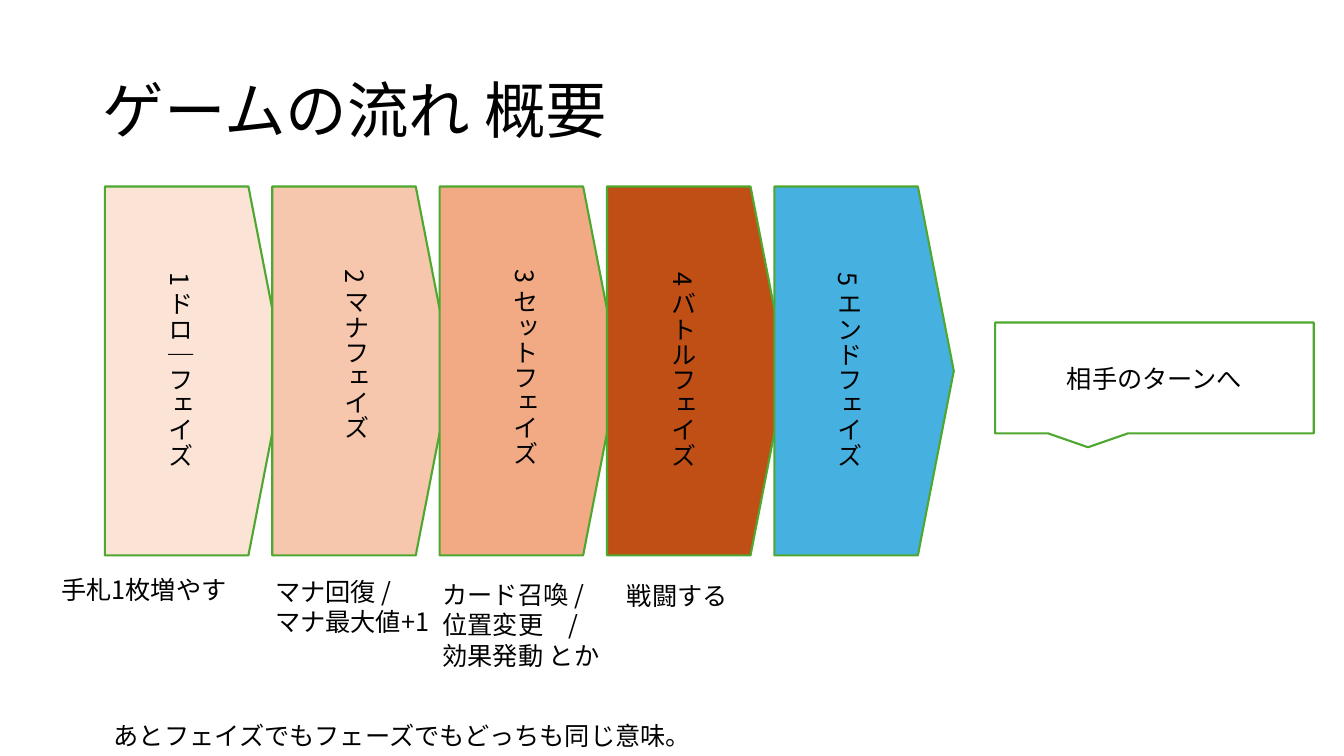
from dataclasses import dataclass

from lxml.etree import SubElement
from pptx import Presentation
from pptx.dml.color import RGBColor
from pptx.enum.shapes import MSO_SHAPE as SHAPE
from pptx.enum.text import MSO_ANCHOR as ANCHOR, MSO_AUTO_SIZE as AUTO, PP_ALIGN as ALIGN
from pptx.oxml.ns import qn
from pptx.util import Inches, Pt


@dataclass(frozen=True)
class Theme:
    font: str = "Noto Sans CJK JP"
    text: str = "000000"
    paper: str = "FFFFFF"
    outline: str = "4EA72E"
    title_size: int = 44
    body_size: int = 18
    line_width: float = 1.5


THEME = Theme()

# label, fill, label left, label top
PHASES = [
    ("1 ドロ｜フェイズ", "FBE3D6", 1.46, 2.6),
    ("2 マナフェイズ", "F6C6AD", 3.2, 2.58),
    ("3 セットフェイズ", "F2AA84", 4.88, 2.58),
    ("4 バトルフェイズ", "C04F15", 6.45, 2.6),
    ("5 エンドフェイズ", "46B1E1", 8.09, 2.6),
]

# box, lines, wraps
NOTES = [
    ((0.51, 5.65, 1.86, 0.4), ["手札1枚増やす"], True),
    ((2.63, 5.67, 1.79, 0.71), ["マナ回復 /", "マナ最大値+1"], False),
    ((4.29, 5.7, 1.79, 1.01), ["カード召喚 /", "位置変更　/", "効果発動 とか"], False),
    ((6.12, 5.71, 1.21, 0.4), ["戦闘する"], False),
    ((1.03, 7.1, 6.01, 0.4), ["あとフェイズでもフェーズでもどっちも同じ意味。"], False),
]


def write(tf, lines, size=THEME.body_size, align=ALIGN.LEFT, spacing=1.0, **frame):
    """Fill a text frame, one paragraph a line; frame holds its own settings."""
    for name, value in frame.items():
        setattr(tf, name, value)
    for i, line in enumerate(lines):
        p = tf.paragraphs[0] if i == 0 else tf.add_paragraph()
        p.alignment, p.line_spacing = align, spacing
        r = p.add_run()
        r.text = line
        for name, value in {"name": THEME.font, "size": Pt(size)}.items():
            setattr(r.font, name, value)
        r.font.color.rgb = RGBColor.from_string(THEME.text)
        SubElement(r.font._element, qn("a:ea"), typeface=THEME.font)


def add_text(slide, box, lines, **style):
    tf = slide.shapes.add_textbox(*map(Inches, box)).text_frame
    write(tf, lines, **style)
    return tf


def add_outlined(slide, kind, box, fill):
    sp = slide.shapes.add_shape(kind, *map(Inches, box))
    sp.shadow.inherit = False
    sp.fill.solid()
    sp.fill.fore_color.rgb = RGBColor.from_string(fill)
    sp.line.color.rgb = RGBColor.from_string(THEME.outline)
    sp.line.width = Pt(THEME.line_width)
    return sp


def add_phases(slide, box, pitch):
    """Overlapping chevrons from the box of the first, each a page connector on its side."""
    left, top, width, height = box
    for i, (label, fill, label_left, label_top) in enumerate(PHASES):
        x = left + i * pitch + (width - height) / 2
        y = top + (height - width) / 2
        sp = add_outlined(slide, SHAPE.FLOWCHART_OFFPAGE_CONNECTOR, (x, y, height, width), fill)
        sp.rotation = 270
        tf = add_text(slide, (label_left, label_top, 0.53, 3.08), [label],
                      word_wrap=True, auto_size=AUTO.SHAPE_TO_FIT_TEXT)
        tf._txBody.bodyPr.set("vert", "eaVert")


def add_callout(slide, box):
    sp = add_outlined(slide, SHAPE.RECTANGULAR_CALLOUT, box, THEME.paper)
    write(sp.text_frame, ["相手のターンへ"], align=ALIGN.CENTER,
          word_wrap=True, vertical_anchor=ANCHOR.MIDDLE)


def add_notes(slide):
    for box, lines, wraps in NOTES:
        add_text(slide, box, lines, word_wrap=wraps, auto_size=AUTO.SHAPE_TO_FIT_TEXT)


def main():
    prs = Presentation()
    prs.slide_width, prs.slide_height = Inches(13.33), Inches(7.5)
    slide = prs.slides.add_slide(prs.slide_layouts[6])
    add_text(slide, (0.92, 0.4, 11.5, 1.45), ["ゲームの流れ 概要"], size=THEME.title_size,
             spacing=0.9, word_wrap=True, vertical_anchor=ANCHOR.MIDDLE)
    add_phases(slide, (1.04, 1.85, 1.78, 3.66), pitch=1.66)
    add_callout(slide, (9.87, 3.2, 3.16, 1.1))
    add_notes(slide)
    prs.save("out.pptx")


if __name__ == "__main__":
    main()
